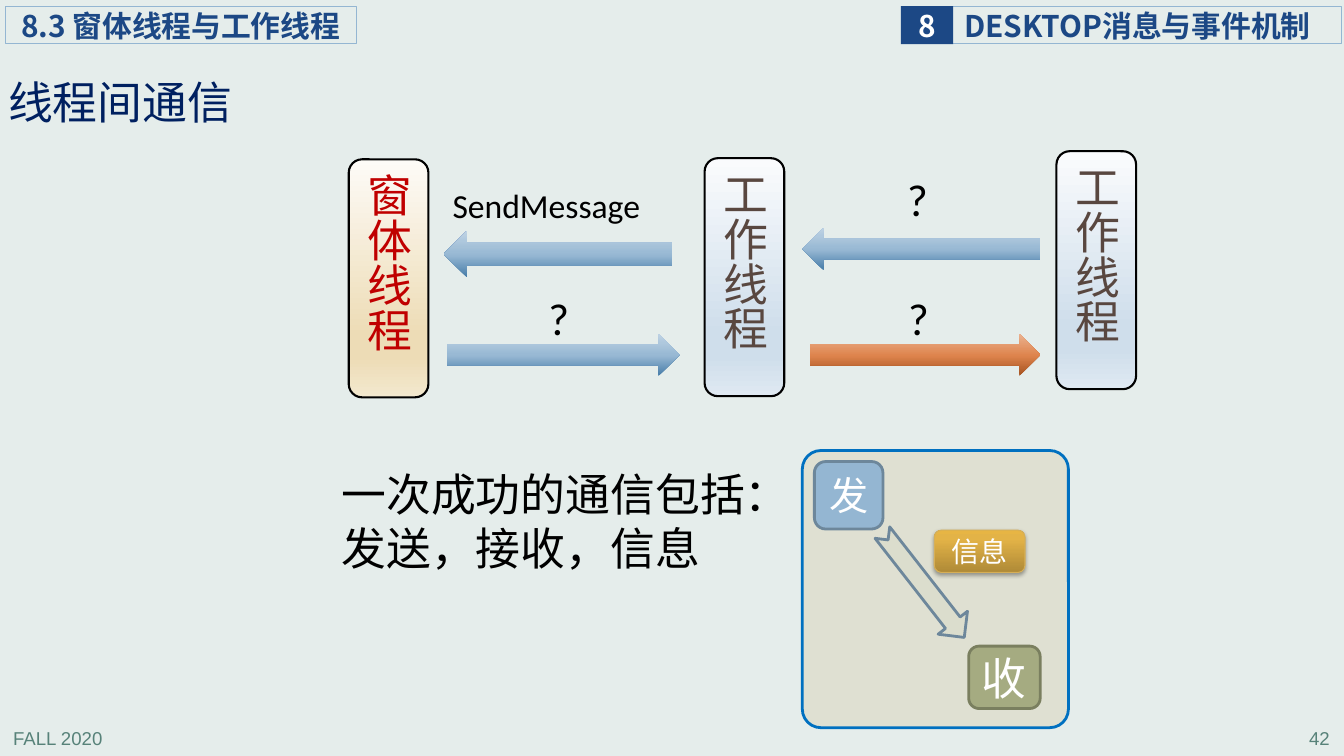
from dataclasses import dataclass

from pptx import Presentation
from pptx import util as u
from pptx.dml import color
from pptx.enum import shapes, text
from pptx.oxml import ns, parse_xml

Pt = u.Pt
KIND = shapes.MSO_SHAPE
SIDE = text.PP_ALIGN
MID = text.MSO_ANCHOR.MIDDLE
SPACE = ns.nsdecls("a")


@dataclass(frozen=True)
class Theme:
    """Colours, gradients, fonts and type sizes of the slide."""
    page: str = "E5EDEB"
    navy: str = "1C4885"
    title: str = "002060"
    foot: str = "578279"
    sky: str = "94B6D2"
    slate: str = "6D879B"
    white: str = "FFFFFF"
    black: str = "000000"
    red: str = "C00000"
    brown: str = "594740"
    blue: str = "0070C0"
    gold: str = "BA8F2D"
    rim: str = "D6AF57"
    sage: str = "A5AB81"
    moss: str = "7A7F5F"
    pale: str = "DBDDCD"
    cream: tuple = (90, (0, "FDFBF7"), (74, "EDDCB6"), (83, "EDDCB6"), (100, "F3E8CE"))
    ice: tuple = (90, (0, "FAFBFD"), (74, "CFDEEB"), (83, "CFDEEB"), (100, "DFE9F2"))
    steel: tuple = (270, (0, "477DA9"), (48, "97B8D3"), (100, "BFD3E4"))
    rust: tuple = (270, (0, "A5521F"), (48, "DE844D"), (100, "EBB391"))
    amber: tuple = (270, (0, "AF8A37"), (80, "E3B347"), (100, "E7B544"))
    han: str = "Noto Sans CJK SC"
    latin: str = "Calibri"
    sans: str = "Arial"
    big: float = 32
    mid: float = 28
    label: float = 24
    head: float = 21.3
    small: float = 20
    tiny: float = 13.3


T = Theme()


def rgb(code):
    """Turn a hex code into a colour."""
    return color.RGBColor.from_string(code)


def paint(shape, fill):
    """Fill a shape with nothing, one colour or a gradient."""
    if fill is None:
        shape.fill.background()
    elif isinstance(fill, str):
        shape.fill.solid()
        shape.fill.fore_color.rgb = rgb(fill)
    else:
        angle, *stops = fill
        shape.fill.gradient()
        marks = "".join(
            f'<a:gs pos="{pos * 1000}"><a:srgbClr val="{code}"/></a:gs>' for pos, code in stops)
        old = shape._element.spPr.find(ns.qn("a:gradFill"))
        old.getparent().replace(old, parse_xml(
            f'<a:gradFill {SPACE} rotWithShape="1"><a:gsLst>{marks}</a:gsLst>'
            f'<a:lin ang="{angle * 60000}" scaled="0"/></a:gradFill>'))


def draw(slide, kind, box, fill=None, line=None, width=2):
    """Add a preset shape without a shadow."""
    shape = slide.shapes.add_shape(kind, *map(Pt, box))
    shape.shadow.inherit = False
    paint(shape, fill)
    if line:
        shape.line.color.rgb = rgb(line)
        shape.line.width = Pt(width)
    else:
        shape.line.fill.background()
    return shape


def write(shape, words, size, ink, font=T.han, side=SIDE.LEFT, bold=False,
          wrap=True, pads=(7.2, 3.6, 7.2, 3.6), anchor=MID):
    """Put one run of text in a shape."""
    frame = shape.text_frame
    frame.word_wrap = wrap
    frame.vertical_anchor = anchor
    frame.margin_left, frame.margin_top, frame.margin_right, frame.margin_bottom = map(Pt, pads)
    para = frame.paragraphs[0]
    para.alignment = side
    run = para.add_run()
    run.text = words
    run.font.size = Pt(size)
    run.font.bold = bold
    run.font.name = font
    run.font.color.rgb = rgb(ink)
    run.font._element.find(ns.qn("a:latin")).addnext(
        parse_xml(f'<a:ea {SPACE} typeface="{font}"/>'))
    return para


def note(slide, box, words, size, ink, font=T.han, **more):
    """Add a text box with one run."""
    more.setdefault("anchor", text.MSO_ANCHOR.TOP)
    area = slide.shapes.add_textbox(*map(Pt, box))
    return write(area, words, size, ink, font, **more)


def header(slide, box):
    """Place the section and chapter tags along the top."""
    x, y, w, h = box
    tabs = ((0, 251.3, 11.5, "8.3 窗体线程与工作线程"),
            (w - 278, 278, 8.6, "DESKTOP消息与事件机制"))
    for left, wide, pad, words in tabs:
        tab = draw(slide, KIND.RECTANGLE, (x + left, y, wide, h), None, T.sky, 0.75)
        write(tab, words, T.head, T.navy, bold=True, pads=(pad, 0, 0, 0))
    badge = draw(slide, KIND.RECTANGLE, (x + w - 314.8, y - 0.7, 37.4, h + 1.4), T.navy)
    write(badge, "8", T.head, T.white, side=SIDE.CENTER, bold=True, wrap=False, pads=(0,) * 4)


def footer(slide, box):
    """Place the term at the left and the page number at the right."""
    x, y, w, h = box
    wide = 200.2
    note(slide, (x, y, wide, h), "FALL 2020", T.tiny, T.foot, T.sans)
    note(slide, (x + w - wide, y, wide, h), "42", T.tiny, T.foot, T.sans, side=SIDE.RIGHT)


def threads(slide, box):
    """Draw three threads with arrows and calls between them."""
    x, y, w, h = box
    wide, tall = 56.9, 170
    bars = ((0, 5.8, "窗体线程", T.cream, T.red),
            (254.2, 5, "工作线程", T.ice, T.brown),
            (w - wide, 0, "工作线程", T.ice, T.brown))
    for left, top, words, fill, ink in bars:
        bar = draw(slide, KIND.ROUNDED_RECTANGLE, (x + left, y + top, wide, tall),
                   fill, T.black, 1.5)
        write(bar, words, T.big, ink, wrap=False)
        bar.text_frame._txBody.bodyPr.set("vert", "eaVert")
    arrows = ((KIND.LEFT_ARROW, 67.8, 56.9, 163.4, 33.1, T.steel),
              (KIND.RIGHT_ARROW, 70, 130.3, 166.3, 30.2, T.steel),
              (KIND.RIGHT_ARROW, 329.2, 130.3, 164.9, 30.2, T.rust),
              (KIND.LEFT_ARROW, 324.1, 54.7, 169.9, 30.2, T.steel))
    for kind, left, top, long, thick, fill in arrows:
        draw(slide, kind, (x + left, y + top, long, thick), fill)
    note(slide, (x + 67.1, y + 20.2, 154.1, 36), "SendMessage", T.label, T.black,
         T.latin, wrap=False)
    for left, top in ((135.5, 95.8), (392.5, 95.8), (391.8, 10.8)):
        note(slide, (x + left, y + top, 26.6, 46.1), "?", T.big, T.black, T.latin, wrap=False)


def panel(slide, box):
    """Draw the sender, the message and the receiver in a frame."""
    x, y, w, h = box
    frame = draw(slide, KIND.ROUNDED_RECTANGLE, box, T.gold, T.blue)
    frame.adjustments[0] = 0.07
    tint = frame._element.spPr.find(ns.qn("a:solidFill"))[0]
    tint.append(parse_xml(f'<a:alpha {SPACE} val="13000"/>'))
    arrow = draw(slide, KIND.NOTCHED_RIGHT_ARROW, (x + 38.9, y + 82.8, 95, 26.6),
                 T.pale, T.slate)
    arrow.rotation = 52
    parts = ((8.6, 7.9, 49, 48.2, "发", T.mid, T.sky, T.slate, 2),
             (118.8, 139.7, 51.1, 44.6, "收", T.big, T.sage, T.moss, 2),
             (94.3, 56.9, 64.8, 30.2, "信息", T.small, T.amber, T.rim, 0.75))
    for left, top, wide, tall, words, size, fill, line, width in parts:
        part = draw(slide, KIND.ROUNDED_RECTANGLE, (x + left, y + top, wide, tall),
                    fill, line, width)
        write(part, words, size, T.white, side=SIDE.CENTER)
    part._element.spPr.find(ns.qn("a:effectLst")).append(parse_xml(
        f'<a:outerShdw {SPACE} blurRad="{Pt(3.1)}" dist="{Pt(1.8)}" dir="5400000" '
        f'rotWithShape="0"><a:srgbClr val="{T.black}"><a:alpha val="35000"/></a:srgbClr>'
        '</a:outerShdw>'))


def main():
    """Build the slide and save it."""
    deck = Presentation()
    deck.slide_width, deck.slide_height = Pt(960), Pt(540)
    slide = deck.slides.add_slide(deck.slide_layouts[6])
    slide.background.fill.solid()
    slide.background.fill.fore_color.rgb = rgb(T.page)
    footer(slide, (2.2, 515.5, 954.7, 22.3))
    header(slide, (3.6, 5, 954.7, 25.9))
    title = note(slide, (0, 42.5, 306, 65.5), "线程间通信", T.big, T.title,
                 pads=(5.8, 2.9, 5.8, 2.9), anchor=MID)
    title.line_spacing = 0.9
    threads(slide, (249.1, 108, 562.4, 175.8))
    panel(slide, (573.1, 321.8, 190.1, 198))
    note(slide, (236.9, 329.8, 304, 85), "一次成功的通信包括：发送，接收，信息", T.big, T.black)
    deck.save("out.pptx")


if __name__ == "__main__":
    main()
